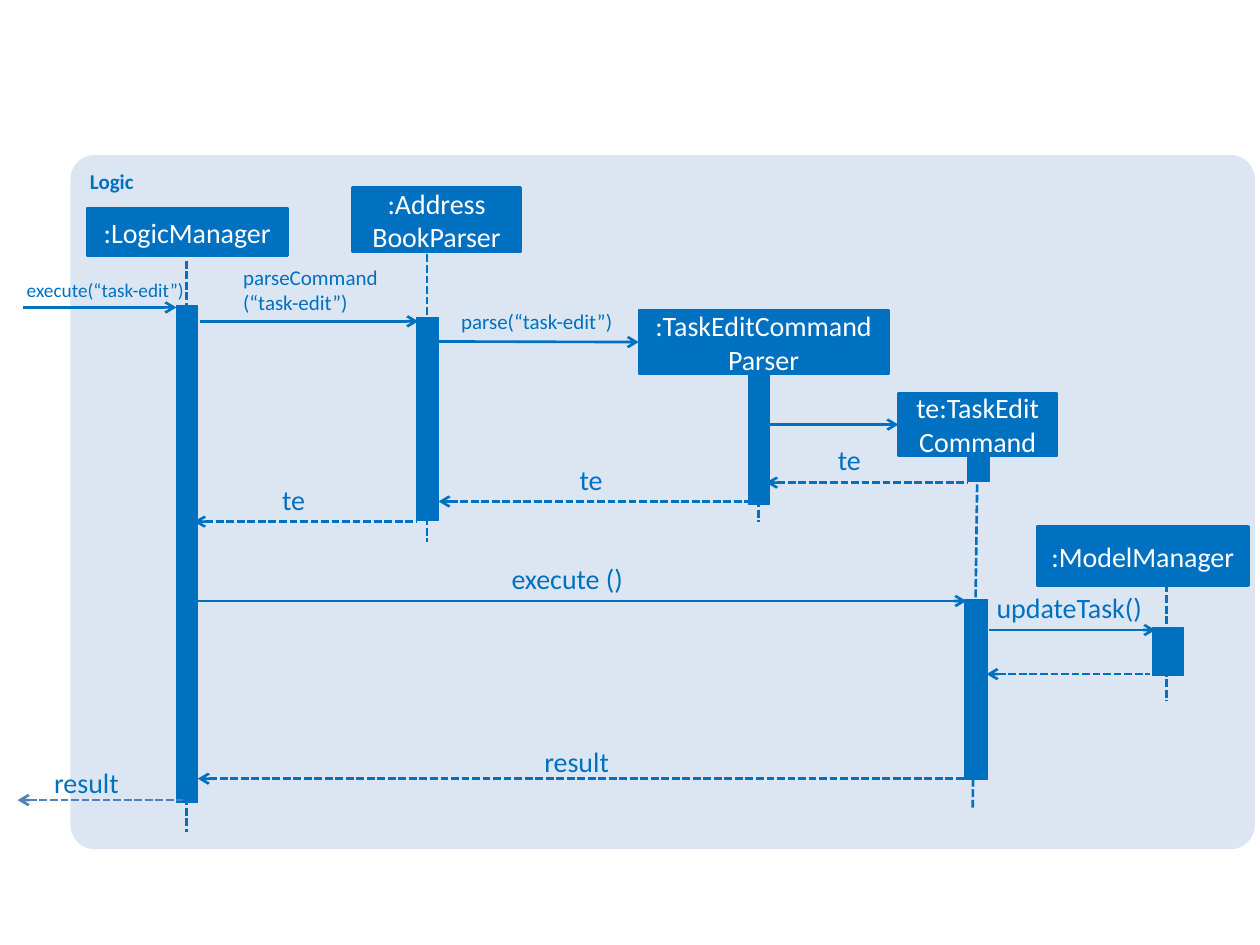
import lxml.etree
import pptx
import pptx.dml.color
import pptx.enum.dml
import pptx.enum.shapes
import pptx.enum.text
import pptx.oxml.ns
import pptx.util

Inches = pptx.util.Inches
BLUE = "0070C0"
PALE = "DCE6F2"
WHITE = "FFFFFF"
STEEL = "4F81BD"
BAR = 0.17

LIVES = [
    (1.48, 2.07, 1.48, 6.6),
    (3.39, 2.02, 3.39, 4.3),
    (6.02, 2.96, 6.02, 4.14),
    (7.76, 3.51, 7.72, 6.41),
    (9.26, 4.64, 9.26, 5.56),
]
BARS = [
    (1.4, 2.43, BAR, 3.94),
    (3.31, 2.52, BAR, 1.61),
    (5.94, 2.98, BAR, 1.02),
    (7.68, 3.51, BAR, 0.31),
    (7.66, 4.76, 0.18, 1.43),
    (9.15, 4.98, 0.24, 0.38),
]
BOXES = [
    (":LogicManager", 0.69, 1.65, 1.59, 0.38),
    (":Address\nBookParser", 2.8, 1.49, 1.33, 0.51),
    (":TaskEditCommandParser", 5.07, 2.46, 1.98, 0.51),
    ("te:TaskEditCommand", 7.13, 3.12, 1.26, 0.5),
    (":ModelManager", 8.23, 4.18, 1.68, 0.47),
]
CALLS = [
    (0.18, 1.4, 2.44),
    (1.59, 3.32, 2.55),
    (1.57, 7.67, 4.77),
    (7.85, 9.17, 5),
]
REPLIES = [
    (6.08, 7.68, 3.83, BLUE),
    (3.48, 5.94, 3.98, BLUE),
    (1.54, 3.31, 4.14, BLUE),
    (7.83, 9.13, 5.35, BLUE),
    (1.57, 7.67, 6.18, BLUE),
    (0.14, 1.45, 6.35, STEEL),
]
LABELS = [
    ("parseCommand(“task-edit”)", 1.93, 2.1, 1.1, 0.4, 12),
    ("parse(“task-edit”)", 3.66, 2.45, 1.34, 0.2, 12),
    ("te", 6.65, 3.51, 0.24, 0.27, 16),
    ("te", 4.6, 3.67, 0.24, 0.27, 16),
    ("te", 2.24, 3.83, 0.24, 0.27, 16),
    ("execute ()", 4.06, 4.46, 1.02, 0.27, 16),
    ("updateTask()", 7.91, 4.69, 1.23, 0.27, 16),
    ("result", 4.32, 5.91, 0.68, 0.27, 16),
    ("result", 0.43, 6.08, 0.64, 0.27, 16),
]


def paint(color, code):
    color.rgb = pptx.dml.color.RGBColor.from_string(code)


def write(shape, text, size, code, align, bold=False):
    frame = shape.text_frame
    frame.text = text
    frame.word_wrap = True
    for para in frame.paragraphs:
        para.alignment = align
        for run in para.runs:
            run.font.name = "Calibri"
            run.font.size = pptx.util.Pt(size)
            run.font.bold = bold
            paint(run.font.color, code)


def add_block(slide, kind, place, fill, width=0):
    shape = slide.shapes.add_shape(kind, *map(Inches, place))
    shape.shadow.inherit = False
    shape.fill.solid()
    paint(shape.fill.fore_color, fill)
    if width:
        paint(shape.line.color, fill)
        shape.line.width = pptx.util.Pt(width)
    else:
        shape.line.fill.background()
    return shape


def add_panel(slide):
    kind = pptx.enum.shapes.MSO_SHAPE.ROUNDED_RECTANGLE
    panel = add_block(slide, kind, (0.56, 1.23, 9.4, 5.51), PALE)
    panel.adjustments[0] = 0.035
    panel.text_frame.vertical_anchor = pptx.enum.text.MSO_ANCHOR.TOP
    write(panel, "Logic", 12, BLUE, pptx.enum.text.PP_ALIGN.LEFT, True)


def add_bar(slide, place):
    add_block(slide, pptx.enum.shapes.MSO_SHAPE.RECTANGLE, place, BLUE, 0.75)


def add_box(slide, text, *place):
    box = add_block(slide, pptx.enum.shapes.MSO_SHAPE.RECTANGLE, place, BLUE, 1.5)
    box.text_frame.vertical_anchor = pptx.enum.text.MSO_ANCHOR.MIDDLE
    write(box, text, 16, WHITE, pptx.enum.text.PP_ALIGN.CENTER)
    return box


def add_line(slide, ends, code=BLUE, dash=False, arrow=None):
    kind = pptx.enum.shapes.MSO_CONNECTOR.STRAIGHT
    link = slide.shapes.add_connector(kind, *map(Inches, ends))
    paint(link.line.color, code)
    link.line.width = pptx.util.Pt(1.5)
    if dash:
        link.line.dash_style = pptx.enum.dml.MSO_LINE.SQUARE_DOT
    props = link._element.spPr
    qn = pptx.oxml.ns.qn
    if arrow:
        lxml.etree.SubElement(props.find(qn("a:ln")), qn(arrow), type="arrow")
    lxml.etree.SubElement(props, qn("a:effectLst"))
    return link


def add_call(slide, start, end, y):
    return add_line(slide, (start, y, end, y), arrow="a:tailEnd")


def add_reply(slide, left, right, y, code):
    add_line(slide, (left, y, right, y), code, True, "a:headEnd")


def add_label(slide, text, x, y, w, h, size, align=pptx.enum.text.PP_ALIGN.LEFT):
    label = slide.shapes.add_textbox(*map(Inches, (x, y, w, h)))
    frame = label.text_frame
    frame.margin_left = frame.margin_right = 0
    frame.margin_top = frame.margin_bottom = 0
    write(label, text, size, BLUE, align)
    frame.auto_size = pptx.enum.text.MSO_AUTO_SIZE.SHAPE_TO_FIT_TEXT


def main():
    deck = pptx.Presentation()
    deck.slide_width = Inches(10)
    deck.slide_height = Inches(7.5)
    slide = deck.slides.add_slide(deck.slide_layouts[6])
    add_panel(slide)
    for ends in LIVES:
        add_line(slide, ends, dash=True)
    for place in BARS:
        add_bar(slide, place)
    boxes = [add_box(slide, *row) for row in BOXES]
    for row in CALLS:
        add_call(slide, *row)
    add_call(slide, 3.45, 5.07, 2.71).end_connect(boxes[2], 1)
    add_call(slide, 6.1, 7.13, 3.37).end_connect(boxes[3], 1)
    for row in REPLIES:
        add_reply(slide, *row)
    right = pptx.enum.text.PP_ALIGN.RIGHT
    add_label(slide, "execute(“task-edit”)", 0.12, 2.21, 1.34, 0.19, 11, right)
    for row in LABELS:
        add_label(slide, *row)
    deck.save("out.pptx")


if __name__ == "__main__":
    main()
